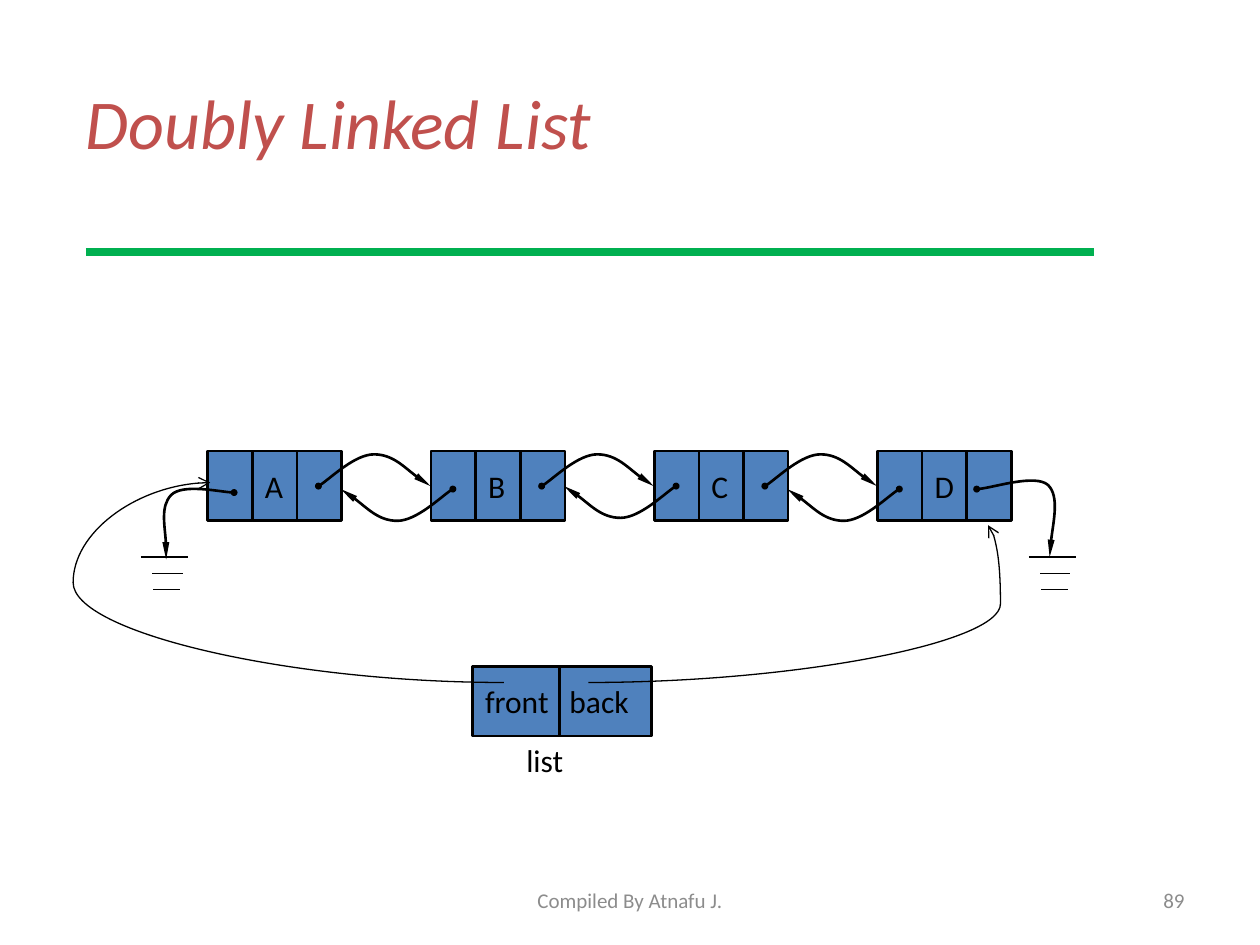
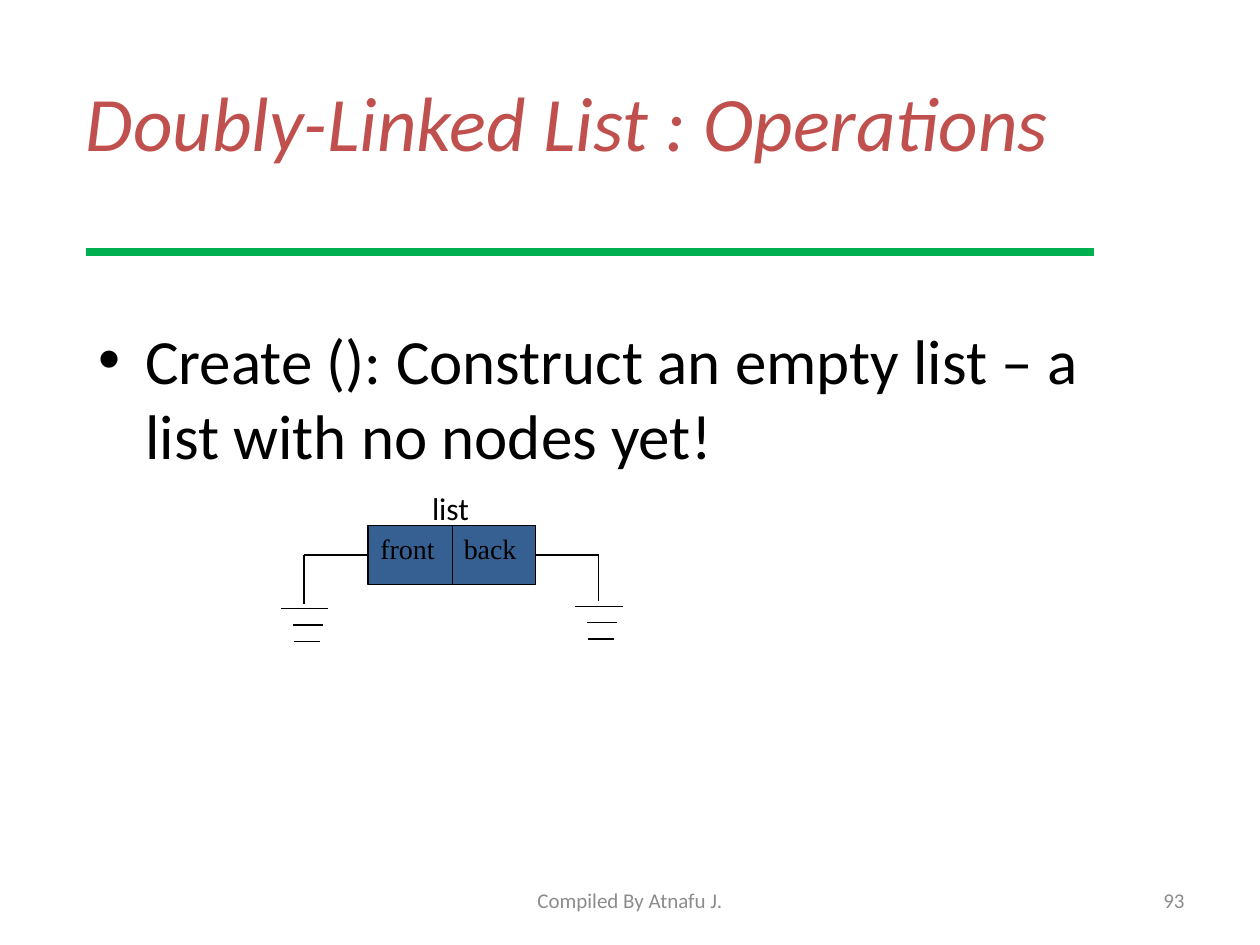
from lxml.etree import SubElement
from pptx import Presentation
from pptx.dml.color import RGBColor
from pptx.enum.shapes import MSO_CONNECTOR as Connector, MSO_SHAPE as Shape
from pptx.enum.text import MSO_ANCHOR as Anchor, MSO_AUTO_SIZE as AutoSize, PP_ALIGN as Align
from pptx.oxml.ns import qn
from pptx.util import Cm, Pt

BLACK = RGBColor(0x00, 0x00, 0x00)
RED = RGBColor(0xC0, 0x50, 0x4D)
GREEN = RGBColor(0x00, 0xB0, 0x50)
GREY = RGBColor(0x8C, 0x8C, 0x8C)
BLUE = RGBColor(0x4F, 0x81, 0xBD)
DARK_BLUE = RGBColor(0x37, 0x60, 0x92)

FOOTER = "Compiled By Atnafu J."
OPERATION = "Create (): Construct an empty list – a list with no nodes yet!"
LABEL = {"size": Pt(18), "name": "Calibri", "color": BLACK}
SERIF = {"size": Pt(16), "name": "Times New Roman", "color": BLACK}
SMALL = {"size": Pt(12), "name": "Calibri", "color": GREY}

# All places below are in centimetres.
NODES = ["A", "B", "C", "D"]
NODE_LEFT, NODE_TOP, NODE_PITCH = 4.19, 9.09, 4.5
CELL_WIDTH, CELL_HEIGHT = 0.9, 1.4
LINK_ARC = [(0, 0), (0.18, -0.1), (0.74, -0.64), (1.12, -0.64),
            (1.5, -0.64), (2.01, -0.13), (2.26, 0)]
NEXT_START = (2.23, 9.8)
PREVIOUS_OFFSET, PREVIOUS_TOPS = 4.94, [9.86, 9.8, 9.86]
END_LINKS = [
    [(19.69, 9.86), (19.94, 9.86), (20.88, 9.55), (21.13, 9.78),
     (21.36, 10.01), (21.16, 10.95), (21.16, 11.23)],
    [(4.72, 9.93), (4.5, 9.93), (3.68, 9.75), (3.45, 9.98),
     (3.23, 10.21), (3.38, 11), (3.35, 11.28)],
]
LIST_POINTERS = [  # start, end, bend
    ((11.86, 13.76), (19.92, 10.59), 1.031),
    ((10.16, 13.76), (4.24, 9.73), 1.467),
]
GROUND_BARS = [(0, 0.95), (0.23, 0.61), (0.25, 0.53)]  # offset, width
GROUND_STEP = 0.33
GROUNDS = [(2.84, 11.23), (20.74, 11.23)]
EMPTY_GROUNDS = [(5.67, 12.27), (11.6, 12.22)]


def fill_text(box, text, look, align=Align.LEFT, anchor=Anchor.TOP, wrap=True):
    frame = box.text_frame
    frame.word_wrap = wrap
    frame.vertical_anchor = anchor
    para = frame.paragraphs[0]
    para.alignment = align
    span = para.add_run()
    span.text = text
    for name, value in look.items():
        if name == "color":
            span.font.color.rgb = value
        else:
            setattr(span.font, name, value)
    return para


def add_text(page, place, text, look, **layout):
    box = page.shapes.add_textbox(*map(Cm, place))
    return box, fill_text(box, text, look, **layout)


def add_cell(page, place, fill, width, text="", look=LABEL, **layout):
    cell = page.shapes.add_shape(Shape.RECTANGLE, *map(Cm, place))
    cell.shadow.inherit = False
    cell.fill.solid()
    cell.fill.fore_color.rgb = fill
    cell.line.color.rgb = BLACK
    cell.line.width = Pt(width)
    if text:
        fill_text(cell, text, look, **layout)
    return cell


def add_ends(shape, **ends):
    """Append arrowheads, given as headEnd / tailEnd attribute dicts."""
    outline = shape._element.spPr.find(qn("a:ln"))
    for tag, attributes in ends.items():
        SubElement(outline, qn(f"a:{tag}"), attributes)


def add_line(page, start, end, color=BLACK, width=0.75, kind=Connector.STRAIGHT):
    line = page.shapes.add_connector(kind, *map(Cm, (*start, *end)))
    line.line.color.rgb = color
    line.line.width = Pt(width)
    SubElement(line._element.spPr, qn("a:effectLst"))
    return line


def add_list_pointer(page, start, end, bend):
    pointer = add_line(page, start, end, kind=Connector.CURVE)
    geometry = pointer._element.spPr.find(qn("a:prstGeom"))
    guides = geometry.find(qn("a:avLst"))
    if guides is None:
        guides = SubElement(geometry, qn("a:avLst"))
    SubElement(guides, qn("a:gd"), {"name": "adj1", "fmla": f"val {round(bend * 100000)}"})
    add_ends(pointer, tailEnd={"type": "arrow"})


def add_link(page, points):
    """Draw a Bézier link: a start point, then three points per segment."""
    corners = [(Cm(x), Cm(y)) for x, y in points]
    builder = page.shapes.build_freeform(*corners[0])
    builder.add_line_segments(corners[1:], close=False)
    link = builder.convert_to_shape()
    link.shadow.inherit = False
    link.fill.background()
    link.line.color.rgb = BLACK
    link.line.width = Pt(1.5)
    add_ends(link, headEnd={"type": "oval", "w": "sm", "len": "sm"},
             tailEnd={"type": "triangle", "w": "sm", "len": "lg"})
    track = next(link._element.iter(qn("a:path")))
    steps = track.findall(qn("a:lnTo"))
    for first in range(0, len(steps), 3):
        curve = SubElement(track, qn("a:cubicBezTo"))
        for step in steps[first:first + 3]:
            curve.append(step[0])
            track.remove(step)


def add_ground(page, left, top):
    for row, (offset, width) in enumerate(GROUND_BARS):
        y = top + row * GROUND_STEP
        add_line(page, (left + offset, y), (left + offset + width, y))


def start_page(deck, title, title_size, number):
    page = deck.slides.add_slide(deck.slide_layouts[6])
    look = {"size": Pt(title_size), "name": "Calibri", "color": RED, "italic": True}
    add_text(page, (1.48, 0.85, 22.86, 3.18), title, look, anchor=Anchor.MIDDLE)
    add_line(page, (1.73, 5.08), (22.05, 5.08), GREEN, 4.25)
    add_text(page, (8.68, 17.65, 8.04, 1.01), FOOTER, SMALL,
             align=Align.CENTER, anchor=Anchor.MIDDLE)
    add_text(page, (18.2, 17.65, 5.93, 1.01), number, SMALL,
             align=Align.RIGHT, anchor=Anchor.MIDDLE)
    return page


def add_list_label(page, left, top):
    box, _ = add_text(page, (left, top, 1.27, 1.02), "list", LABEL, wrap=False)
    box.text_frame.auto_size = AutoSize.SHAPE_TO_FIT_TEXT


def add_diagram_page(deck):
    page = start_page(deck, "Doubly Linked List", 40, "89")
    layout = {"anchor": Anchor.MIDDLE, "wrap": False}
    lefts = [NODE_LEFT + NODE_PITCH * index for index in range(len(NODES))]
    for left, letter in zip(lefts, NODES):
        for column, text in enumerate(["", letter, ""]):
            place = (left + column * CELL_WIDTH, NODE_TOP, CELL_WIDTH, CELL_HEIGHT)
            add_cell(page, place, BLUE, 1.5, text, **layout)
    offset, next_top = NEXT_START
    for left, previous_top in zip(lefts, PREVIOUS_TOPS):
        add_link(page, [(left + offset + x, next_top + y) for x, y in LINK_ARC])
        add_link(page, [(left + PREVIOUS_OFFSET - x, previous_top - y) for x, y in LINK_ARC])

    for text, left, width in [("back", 11.23, 1.91), ("front", 9.53, 1.75)]:
        add_cell(page, (left, 13.44, width, CELL_HEIGHT), BLUE, 1.5, text, **layout)
    for pointer in LIST_POINTERS:
        add_list_pointer(page, *pointer)
    for points in END_LINKS:
        add_link(page, points)
    for ground in GROUNDS:
        add_ground(page, *ground)
    add_list_label(page, 10.36, 14.82)


def add_create_page(deck):
    page = start_page(deck, "Doubly-Linked List : Operations", 44, "93")
    look = {**LABEL, "size": Pt(36)}
    _, para = add_text(page, (1.73, 6.35, 21.59, 11.43), OPERATION, look)
    properties = para._p.get_or_add_pPr()
    properties.set("marL", str(Cm(0.95)))
    properties.set("indent", str(-Cm(0.95)))
    SubElement(properties, qn("a:buFont"), {"typeface": "Arial"})
    SubElement(properties, qn("a:buChar"), {"char": "•"})

    # text, cell left, side joined, wire corner x, wire bottom
    halves = [("back", 9.1, 3, 12.07, 12.12), ("front", 7.42, 1, 6.13, 12.17)]
    for text, left, side, corner, bottom in halves:
        cell = add_cell(page, (left, 10.59, 1.7, 1.2), DARK_BLUE, 0.75, text, SERIF)
        middle = 10.59 + 1.2 / 2
        wire = add_line(page, (left, middle), (corner, middle))
        wire.begin_connect(cell, side)
        add_line(page, (corner, middle), (corner, bottom))
    for ground in EMPTY_GROUNDS:
        add_ground(page, *ground)
    add_list_label(page, 8.46, 9.73)


def main():
    deck = Presentation()
    deck.slide_width, deck.slide_height = Cm(25.4), Cm(19.05)
    add_diagram_page(deck)
    add_create_page(deck)
    deck.save("out.pptx")


if __name__ == "__main__":
    main()
